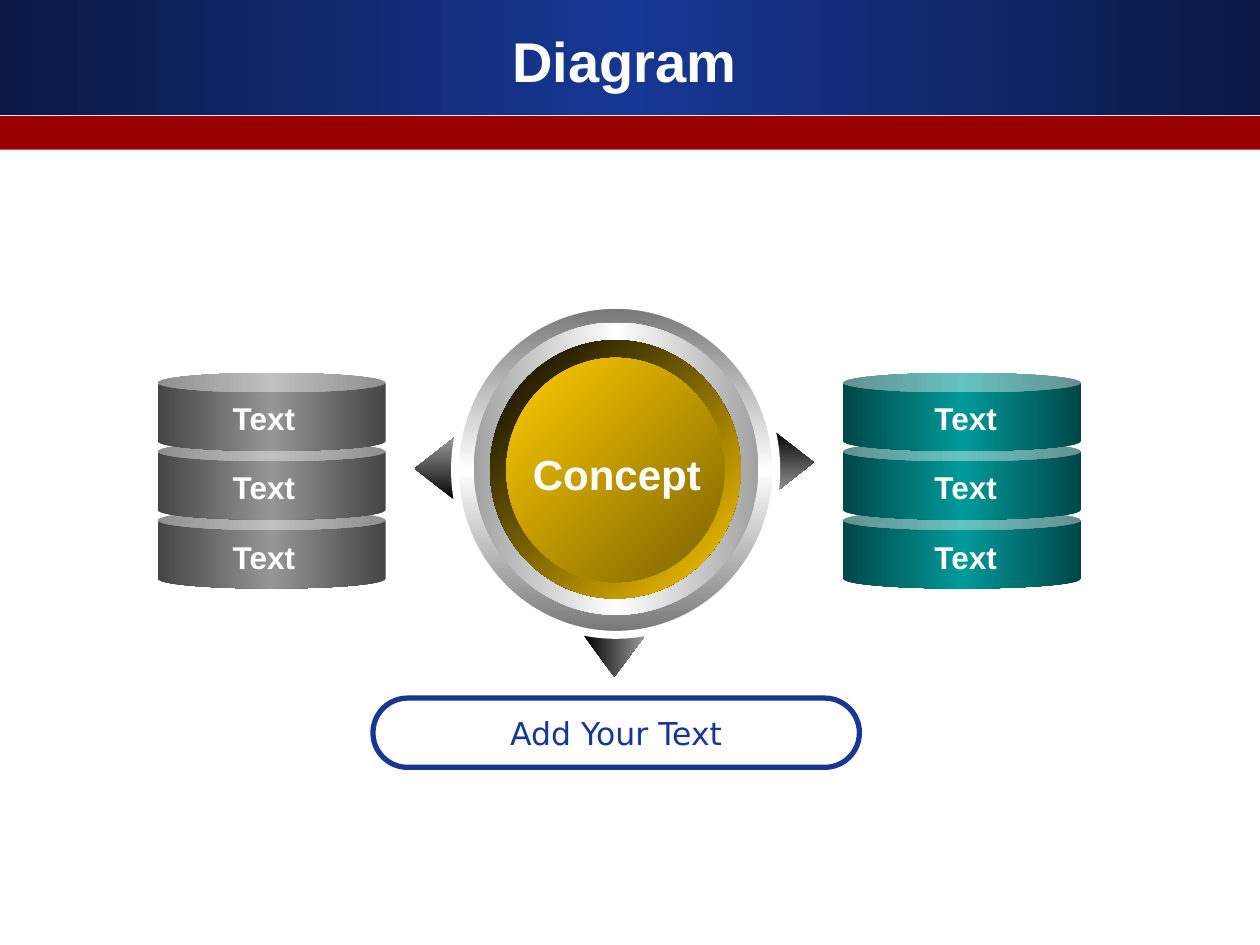
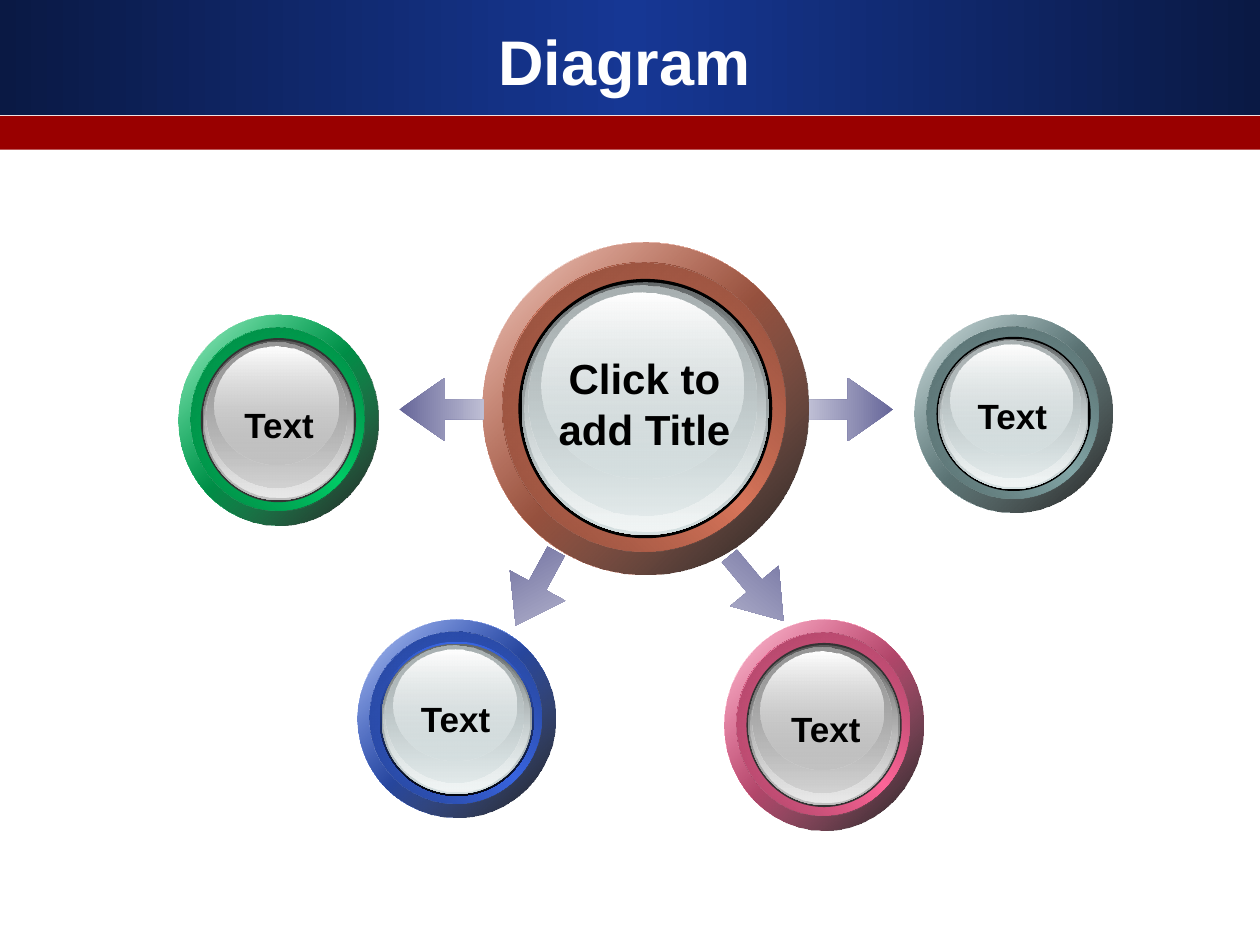
"""Build two diagram slides under a shared blue and red header."""
from pptx import Presentation
from pptx.dml.color import RGBColor
from pptx.enum.shapes import MSO_SHAPE
from pptx.enum.text import MSO_ANCHOR, PP_ALIGN
from pptx.oxml import parse_xml
from pptx.oxml.ns import nsdecls, qn
from pptx.util import Pt

tint = RGBColor.from_string
WHITE, BLACK, BLUE, NAVY, RED = "FFFFFF", "000000", "163794", "0A1944", "990000"


def write(shape, text, size=18, color=WHITE, font="Arial", bold=True, wrap=False, anchor=MSO_ANCHOR.TOP):
    frame = shape.text_frame
    frame.text = text
    frame.word_wrap = wrap
    frame.vertical_anchor = anchor
    for para in frame.paragraphs:
        para.alignment = PP_ALIGN.CENTER
        para.font.name = font
        para.font.size = Pt(size)
        para.font.bold = bold
        para.font.color.rgb = tint(color)


def draw(slide, kind, box, fill, angle=0, turn=0, line=None, width=0, bends=()):
    shape = slide.shapes.add_shape(kind, *map(Pt, box))
    shape.shadow.inherit = False
    shape.rotation = turn
    for i, bend in enumerate(bends):
        shape.adjustments[i] = bend
    if line:
        shape.line.color.rgb = tint(line)
        shape.line.width = Pt(width)
    else:
        shape.line.fill.background()
    stops = fill.split()
    if len(stops) == 1:
        shape.fill.solid()
        shape.fill.fore_color.rgb = tint(fill)
        return shape
    shape.fill.background()
    marks = ""
    for i, stop in enumerate(stops):
        color, _, alpha = stop.partition(":")
        marks += (f'<a:gs pos="{i * 100000 // (len(stops) - 1)}"><a:srgbClr val="{color}">'
                  f'<a:alpha val="{alpha or 100}000"/></a:srgbClr></a:gs>')
    grad = parse_xml(f'<a:gradFill {nsdecls("a")} rotWithShape="0"><a:gsLst>{marks}</a:gsLst>'
                     f'<a:lin ang="{round(angle * 60000)}" scaled="0"/></a:gradFill>')
    props = shape.element.spPr
    props.replace(props.find(qn("a:noFill")), grad)
    return shape


deck = Presentation()
deck.slide_width, deck.slide_height = Pt(720), Pt(540)
layout = deck.slide_layouts[5]
head = layout.placeholders[0]
head.left, head.top, head.width, head.height = map(Pt, (23.8, 12.2, 666, 44.6))
hub, wheel = [deck.slides.add_slide(layout) for _ in range(2)]

bands = [((0, 0, 720, 65.5), f"{NAVY} {BLUE} {NAVY}"), ((0, 66.2, 720, 19.4), RED)]
for i, (box, fill) in enumerate(bands):
    band = draw(hub, MSO_SHAPE.RECTANGLE, box, fill)
    deck.slide_master.shapes.element.insert(2 + i, band.element)

for slide, size in ((hub, 32), (wheel, 36)):
    write(slide.shapes.title, "Diagram", size=size, wrap=True, anchor=MSO_ANCHOR.MIDDLE)

tips = [((230.4, 256.3, 36, 23), 270), ((435.6, 252.7, 36, 23), 90), ((333.4, 362.9, 35.3, 23.8), 180)]
for box, turn in tips:
    tip = draw(hub, MSO_SHAPE.UP_ARROW, box, f"{BLACK} 9B9B9B", turn, turn, bends=(0.52, 1))
    tip.element.spPr.find(qn("a:xfrm")).set("flipH", "1")

discs = [
    ((260, 174.2, 183.6, 188.6), "767676 FFFFFF 767676", 90, WHITE),
    ((270.7, 184.3, 162.7, 167), "A2A2A2 FFFFFF A2A2A2", 0, None),
    ((280, 194.4, 143.3, 147.6), "000000 FFCC00", 45, None),
    ((289.4, 204.5, 124.6, 128.2), "FFCC00 7C6300", 45, None),
]
for box, fill, angle, line in discs:
    draw(hub, MSO_SHAPE.OVAL, box, fill, angle, line=line, width=4.5)

stacks = [(90, 130.3, 125.3, "454545 969696 454545"), (481.7, 136.1, 526.3, "004747 009999 004747")]
for left, width, start, fill in stacks:
    for row in (2, 1, 0):
        draw(hub, MSO_SHAPE.CAN, (left, 213.1 + 39.3 * row, width, 44.6), fill, bends=(0.25,))
    for row in range(3):
        label = hub.shapes.add_textbox(*map(Pt, (start, 224.6 + 39.6 * row, 51, 28.8)))
        write(label, "Text")

label = hub.shapes.add_textbox(*map(Pt, (297.4, 252.7, 110.2, 36)))
write(label, "Concept", size=24)
pill = draw(hub, MSO_SHAPE.ROUNDED_RECTANGLE, (213.1, 398.9, 278, 39.6), WHITE,
            line=BLUE, width=3, bends=(0.5,))
write(pill, "Add Your Text", color=BLUE, font="DejaVu Sans", bold=False, anchor=MSO_ANCHOR.MIDDLE)

COOL = ("636869", "D6E1E2", "F1F5F5", "AAB2B3")
GREY = ("595959", "C0C0C0", "E9E9E9", "989898")
knobs = [
    ((275.8, 138.5, 186, 190), ("D8755A", "753F31", "894A39"), BLACK, COOL,
     "Click to\nadd Title", 24, (311.8, 198, 113, 64.8)),
    ((522.7, 180, 113, 113), ("83A6A7", "475A5A", "53696A"), BLACK, COOL,
     "Text", 20, (550.8, 221.8, 55.4, 31.7)),
    ((414, 354.2, 113.8, 120.2), ("FF6699", "8A3753", "A24161"), "333333", GREY,
     "Text", 20, (444.2, 401, 55.4, 31.7)),
    ((102.2, 180, 113.8, 120.2), ("00CC66", "006E37", "008241"), "333333", GREY,
     "Text", 20, (131.8, 226.8, 55.4, 31.7)),
    ((204.5, 354.2, 113, 113), ("3965E1", "1F377A", "264396"), "3965E1 03060D", COOL,
     "Text", 20, (232.6, 395.3, 55.4, 31.7)),
]
arrows = [(462.2, 216, 180), (282.2, 318.2, 298.6), (228.2, 216, 0), (408.2, 318.2, 230.2)]

for i, (box, ring, lip, glass, text, size, place) in enumerate(knobs):
    left, top, width, height = box
    hue, dark, mid = ring
    rim, body, glow, shade = glass
    layers = [
        (0, 0, 1, 1, f"{WHITE} {hue} {WHITE}", 45),
        (0, 0, 1, 1, f"{hue}:32 {BLACK}:90", 45),
        (0.06, 0.06, 0.87, 0.87, f"{dark} {hue} {dark}", 315),
        (0.06, 0.06, 0.87, 0.87, f"{mid} {hue}:0", 45),
        (0.11, 0.11, 0.78, 0.78, lip, 90),
        (0.12, 0.12, 0.76, 0.76, f"{rim} {body}", 90),
        (0.13, 0.13, 0.74, 0.74, f"{body}:0 {glow}", 90),
        (0.14, 0.13, 0.7, 0.69, f"{shade} {body}:48", 90),
        (0.18, 0.15, 0.62, 0.56, f"{WHITE} {body}:38", 90),
    ]
    for x, y, w, h, fill, angle in layers:
        spot = (left + x * width, top + y * height, w * width, h * height)
        draw(wheel, MSO_SHAPE.OVAL, spot, fill, angle)
    if i == 0:
        for x, y, turn in arrows:
            draw(wheel, MSO_SHAPE.LEFT_ARROW, (x, y, 48.2, 36), "666699 BEBED4",
                 -turn % 360, turn, bends=(0.31, 0.72))
    label = wheel.shapes.add_textbox(*map(Pt, place))
    write(label, text, size=size, color=BLACK)

deck.save("out.pptx")
